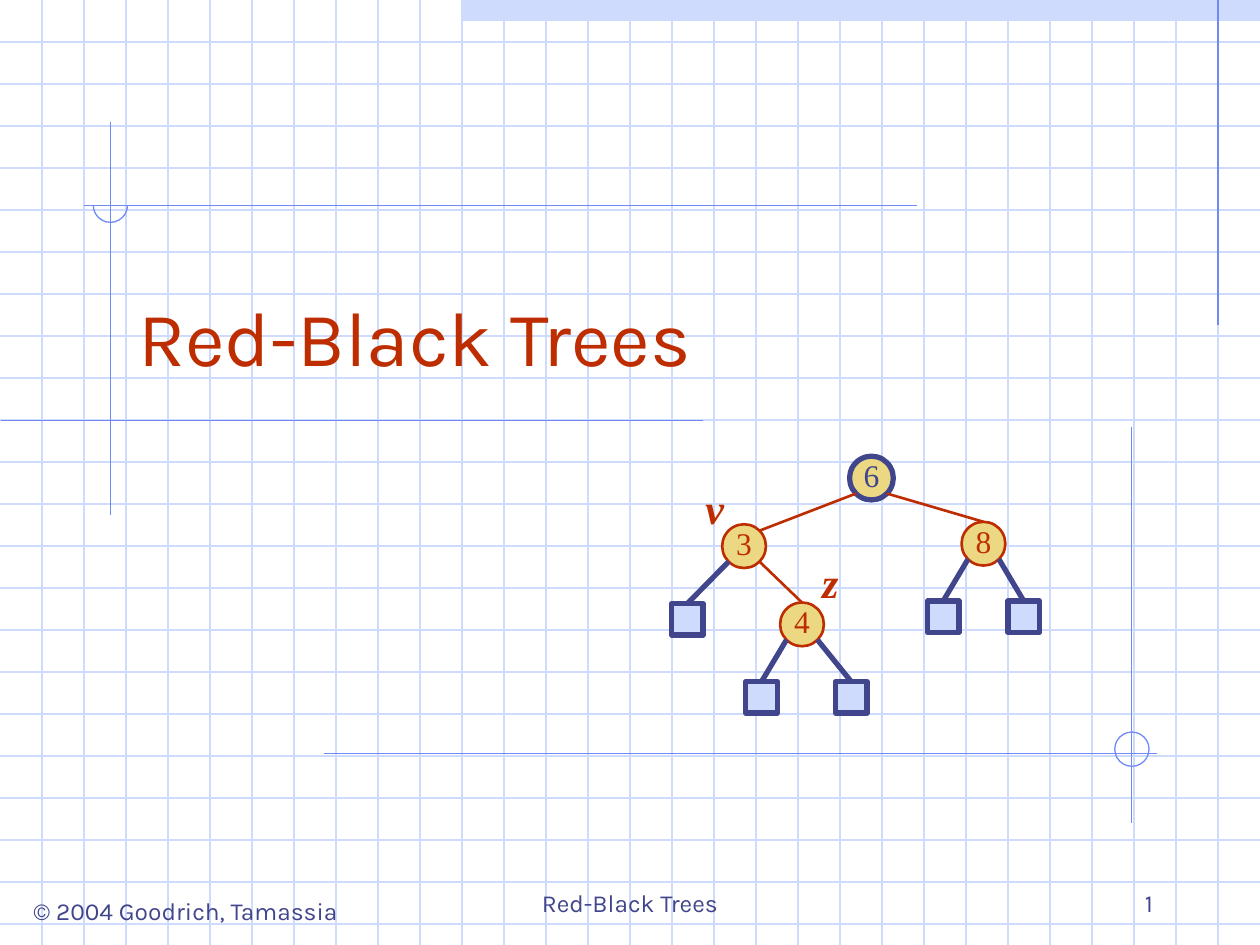
from dataclasses import dataclass
from math import sqrt

from lxml import etree
from pptx import Presentation
from pptx.dml.color import RGBColor
from pptx.enum.shapes import MSO_CONNECTOR, MSO_SHAPE
from pptx.enum.text import MSO_ANCHOR, PP_ALIGN
from pptx.oxml.ns import qn
from pptx.util import Pt

STRAIGHT = MSO_CONNECTOR.STRAIGHT
RECTANGLE, OVAL, ARC = MSO_SHAPE.RECTANGLE, MSO_SHAPE.OVAL, MSO_SHAPE.ARC
LEFT, CENTER, RIGHT = PP_ALIGN.LEFT, PP_ALIGN.CENTER, PP_ALIGN.RIGHT
TOP, MIDDLE, BOTTOM = MSO_ANCHOR.TOP, MSO_ANCHOR.MIDDLE, MSO_ANCHOR.BOTTOM

PAGE_WIDTH, PAGE_HEIGHT, GRID_STEP = 720, 540, 24
NODE_SIZE, LEAF_SIZE, ARC_SIZE = 25, 18, 19.6
DIAGONAL = NODE_SIZE / 2 / sqrt(2)


@dataclass(frozen=True)
class Theme:
    pale: RGBColor = RGBColor(0xCF, 0xDB, 0xFD)
    guide: RGBColor = RGBColor(0x6F, 0x89, 0xF7)
    black_node: RGBColor = RGBColor(0x40, 0x45, 0x8C)
    red_node: RGBColor = RGBColor(0xBE, 0x2D, 0x00)
    gold: RGBColor = RGBColor(0xEC, 0xD8, 0x82)
    sans: str = "Karla"
    serif: str = "Times New Roman"
    title: int = 44
    label: int = 24
    key: int = 18
    footer: int = 14
    thin: float = 0.75
    red_line: float = 1.5
    black_line: float = 3


THEME = Theme()

NODES = {
    "6": (498, 273.2, False),
    "3": (425.2, 312.1, True),
    "8": (562, 310.7, True),
    "4": (458.3, 356.8, True),
}
LEAVES = [
    ("3", -1, 392.8, 353.9),
    ("8", -1, 539, 352.4),
    ("8", 1, 585, 352.4),
    ("4", -1, 435.2, 398.5),
    ("4", 1, 486.4, 398.5),
]
GUIDES = [
    (696, 0, 696, 186),
    (63.2, 70, 63.2, 294.5),
    (0.5, 240.4, 402, 240.4),
    (48, 117.3, 524.2, 117.3),
    (185, 430.4, 661, 430.4),
    (646.6, 244, 646.6, 470.5),
]
ARCS = [(63.1, 117.3, -90, 180), (646.8, 428.1, 0, -90)]


def add_line(page, x1, y1, x2, y2, color, width):
    line = page.shapes.add_connector(STRAIGHT, Pt(x1), Pt(y1), Pt(x2), Pt(y2))
    line.line.color.rgb = color
    line.line.width = Pt(width)
    properties = line._element.find(qn("p:spPr"))
    etree.SubElement(properties, qn("a:effectLst"))
    return line


def add_centered(page, kind, x, y, size, fill, color, width):
    shape = page.shapes.add_shape(
        kind, Pt(x - size / 2), Pt(y - size / 2), Pt(size), Pt(size))
    shape.shadow.inherit = False
    if fill is None:
        shape.fill.background()
    else:
        shape.fill.solid()
        shape.fill.fore_color.rgb = fill
    shape.line.color.rgb = color
    shape.line.width = Pt(width)
    return shape


def write(frame, text, font, size, color, align, anchor, italic_bold=False):
    frame.vertical_anchor = anchor
    para = frame.paragraphs[0]
    para.text = text
    para.alignment = align
    para.font.name = font
    para.font.size = Pt(size)
    para.font.color.rgb = color
    para.font.bold = para.font.italic = italic_bold


def add_text(page, place, text, font, size, color, align, anchor,
             italic_bold=False, wrap=True):
    box = page.shapes.add_textbox(*map(Pt, place))
    box.text_frame.word_wrap = wrap
    write(box.text_frame, text, font, size, color, align, anchor, italic_bold)


def add_background(page):
    band = page.shapes.add_shape(RECTANGLE, Pt(264), 0, Pt(456), Pt(12))
    band.shadow.inherit = False
    band.fill.solid()
    band.fill.fore_color.rgb = THEME.pale
    band.line.fill.background()
    for y in range(GRID_STEP, PAGE_HEIGHT, GRID_STEP):
        add_line(page, 0, y, PAGE_WIDTH, y, THEME.pale, THEME.thin)
    for x in range(GRID_STEP, PAGE_WIDTH, GRID_STEP):
        add_line(page, x, 0, x, PAGE_HEIGHT, THEME.pale, THEME.thin)
    for ends in GUIDES:
        add_line(page, *ends, THEME.guide, THEME.thin)
    for x, y, start, end in ARCS:
        arc = add_centered(page, ARC, x, y, ARC_SIZE, None, THEME.guide, THEME.thin)
        arc.adjustments[0] = start * 0.6
        arc.adjustments[1] = end * 0.6


def node_style(is_red):
    if is_red:
        return THEME.red_node, THEME.red_line
    return THEME.black_node, THEME.black_line


def add_node(page, key):
    x, y, is_red = NODES[key]
    color, width = node_style(is_red)
    node = add_centered(page, OVAL, x, y, NODE_SIZE, THEME.gold, color, width)
    frame = node.text_frame
    frame.margin_left = frame.margin_top = frame.margin_right = 0
    frame.margin_bottom = Pt(3.6)
    frame.word_wrap = False
    write(frame, key, THEME.serif, THEME.key, color, CENTER, MIDDLE)


def add_edge(page, parent, side, x, y, is_red):
    parent_x, parent_y, _ = NODES[parent]
    return add_line(page, parent_x + side * DIAGONAL, parent_y + DIAGONAL,
                    x, y, *node_style(is_red))


def add_leaf(page, parent, side, x, y):
    leaf = add_centered(page, RECTANGLE, x, y, LEAF_SIZE, THEME.pale,
                        *node_style(False))
    edge = add_edge(page, parent, side, x, y - LEAF_SIZE / 2, False)
    edge.end_connect(leaf, 0)


def add_tree(page):
    for key in NODES:
        add_node(page, key)
    for parent, side, child in [("6", 1, "8"), ("3", 1, "4")]:
        x, y, is_red = NODES[child]
        add_edge(page, parent, side, x, y - NODE_SIZE / 2, is_red)
    x, y, is_red = NODES["3"]
    add_edge(page, "6", -1, x + DIAGONAL, y - DIAGONAL, is_red)
    for leaf in LEAVES:
        add_leaf(page, *leaf)
    for text, left, top in [("v", 396, 272.2), ("z", 462.2, 314.6)]:
        add_text(page, (left, top, 24.5, 36), text, THEME.serif, THEME.label,
                 THEME.red_node, CENTER, TOP, italic_bold=True)


def add_footer(page):
    style = (THEME.sans, THEME.footer, THEME.black_node)
    add_text(page, (8.6, 508.3, 195, 24.5), "© 2004 Goodrich, Tamassia",
             *style, CENTER, TOP, wrap=False)
    add_text(page, (246, 492, 228, 36), "Red-Black Trees", *style, CENTER, BOTTOM)
    add_text(page, (516, 492, 150, 36), "1", *style, RIGHT, BOTTOM)


def main():
    deck = Presentation()
    deck.slide_width, deck.slide_height = Pt(PAGE_WIDTH), Pt(PAGE_HEIGHT)
    page = deck.slides.add_slide(deck.slide_layouts[6])
    add_background(page)
    add_footer(page)
    add_text(page, (72, 132, 612, 90), "Red-Black Trees", THEME.sans,
             THEME.title, THEME.red_node, LEFT, BOTTOM)
    add_tree(page)
    deck.save("out.pptx")


if __name__ == "__main__":
    main()
